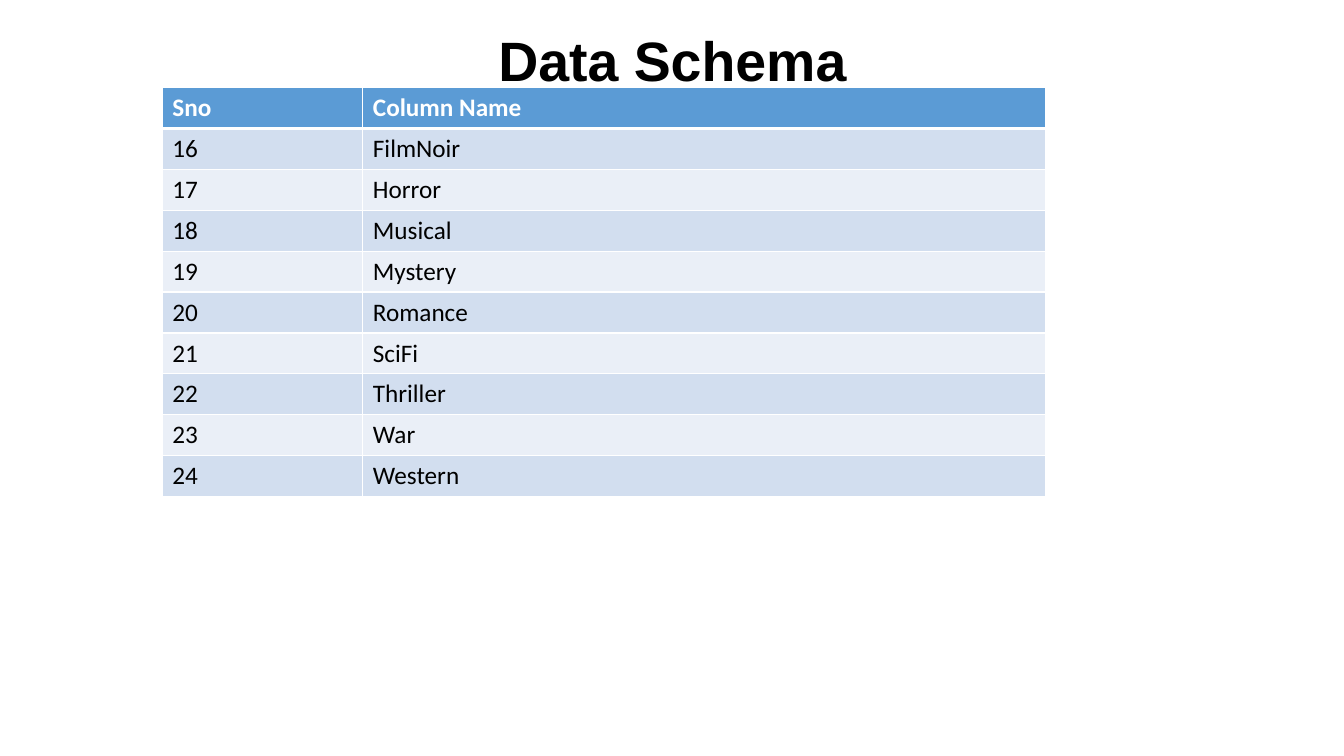
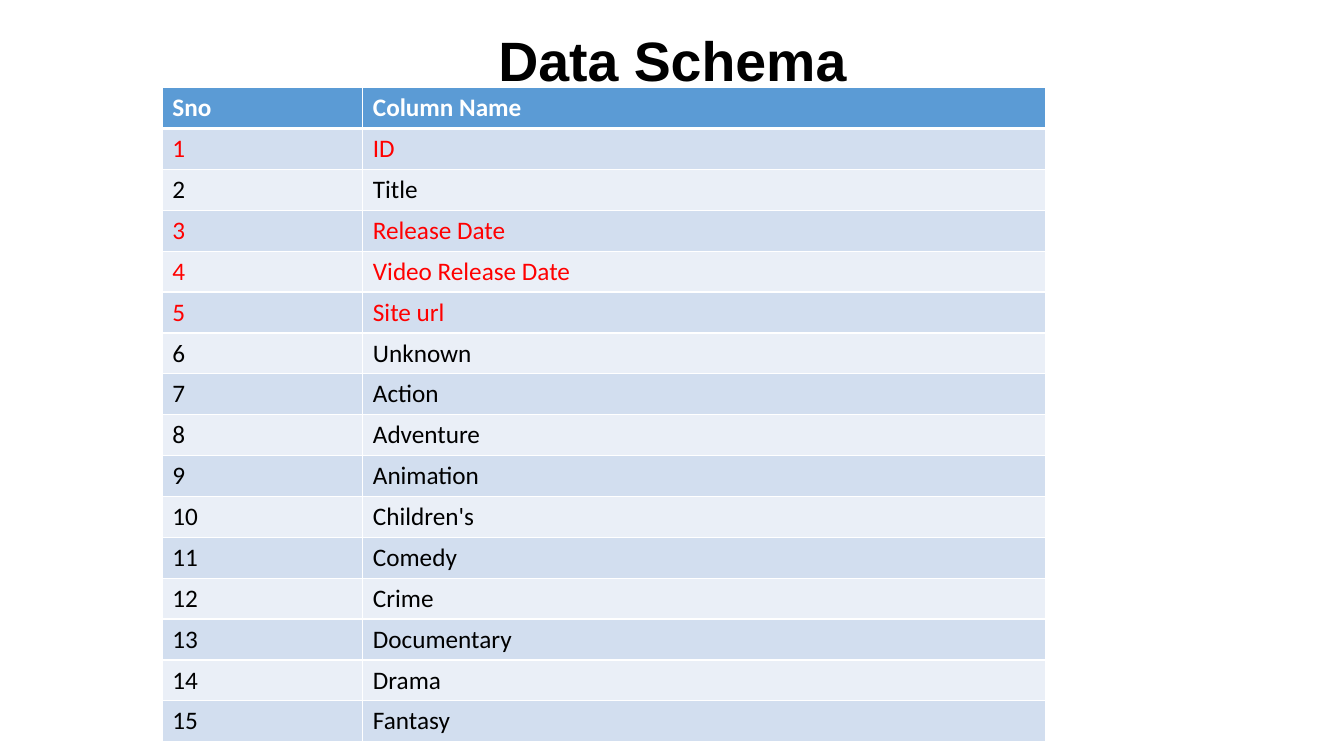
from dataclasses import dataclass

from lxml.etree import SubElement
from pptx import Presentation
from pptx.dml.color import RGBColor
from pptx.enum.text import MSO_ANCHOR, PP_ALIGN
from pptx.oxml.ns import qn
from pptx.util import Inches, Pt


@dataclass(frozen=True)
class Theme:
    black: str = "000000"
    white: str = "FFFFFF"
    red: str = "FF0000"
    header: str = "5B9BD5"
    bands: tuple[str, str] = ("D2DEEF", "EAEFF7")
    title_font: str = "Arial"
    table_font: str = "Calibri"
    title_size: float = 39.6
    table_size: float = 18
    thin: float = 1
    thick: float = 3


@dataclass(frozen=True)
class Field:
    name: str
    marked: bool = False


@dataclass(frozen=True)
class SchemaPage:
    first_number: int
    fields: tuple[Field, ...]


THEME = Theme()
WIDTH, HEIGHT = Inches(13.33), Inches(7.5)

# Shares of the slide, in percent
TITLE_LEFT, TITLE_TOP, TITLE_WIDTH, TITLE_HEIGHT = 6.9, 5.33, 86.27, 6.27
TABLE_LEFT, TABLE_TOP = 12.08, 11.6
COLUMN_WIDTHS = (14.92, 50.78)
ROW_HEIGHT = 5.41

TITLE = "Data Schema"
HEADINGS = ("Sno", "Column Name")
PAGES = (
    SchemaPage(16, (
        Field("FilmNoir"), Field("Horror"), Field("Musical"),
        Field("Mystery"), Field("Romance"), Field("SciFi"),
        Field("Thriller"), Field("War"), Field("Western"),
    )),
    SchemaPage(1, (
        Field("ID", True), Field("Title"), Field("Release Date", True),
        Field("Video Release Date", True), Field("Site url", True),
        Field("Unknown"), Field("Action"), Field("Adventure"),
        Field("Animation"), Field("Children's"), Field("Comedy"),
        Field("Crime"), Field("Documentary"), Field("Drama"),
        Field("Fantasy"),
    )),
)


def across(percent: float) -> int:
    return round(WIDTH * percent / 100)


def down(percent: float) -> int:
    return round(HEIGHT * percent / 100)


def add_span(para, text: str, font: str, size: float, color: str, bold: bool) -> None:
    span = para.add_run()
    span.text = text
    span.font.name = font
    span.font.size = Pt(size)
    span.font.bold = bold
    span.font.color.rgb = RGBColor.from_string(color)


def add_title(page) -> None:
    box = page.shapes.add_textbox(across(TITLE_LEFT), down(TITLE_TOP),
                                  across(TITLE_WIDTH), down(TITLE_HEIGHT))
    frame = box.text_frame
    frame.word_wrap = True
    frame.vertical_anchor = MSO_ANCHOR.MIDDLE
    para = frame.paragraphs[0]
    para.alignment = PP_ALIGN.CENTER
    para.line_spacing = 0.9
    add_span(para, TITLE, THEME.title_font, THEME.title_size, THEME.black, True)


def add_borders(cell, top: float, bottom: float) -> None:
    """Draw white borders; call before the fill, which must follow them in the XML."""
    properties = cell._tc.get_or_add_tcPr()
    widths = {"L": THEME.thin, "R": THEME.thin, "T": top, "B": bottom}
    for side, width in widths.items():
        line = SubElement(properties, qn(f"a:ln{side}"), w=str(Pt(width)))
        fill = SubElement(line, qn("a:solidFill"))
        SubElement(fill, qn("a:srgbClr"), val=THEME.white)


def fill_row(table, row: int, texts: tuple[str, ...], fill: str, color: str) -> None:
    is_header = row == 0
    top = THEME.thick if row == 1 else THEME.thin
    bottom = THEME.thick if is_header else THEME.thin
    for column, text in enumerate(texts):
        cell = table.cell(row, column)
        add_borders(cell, top, bottom)
        cell.fill.solid()
        cell.fill.fore_color.rgb = RGBColor.from_string(fill)
        add_span(cell.text_frame.paragraphs[0], text, THEME.table_font,
                 THEME.table_size, color, is_header)


def add_schema_table(page, schema: SchemaPage) -> None:
    row_count = len(schema.fields) + 1
    table = page.shapes.add_table(
        row_count, len(HEADINGS), across(TABLE_LEFT), down(TABLE_TOP),
        across(sum(COLUMN_WIDTHS)), down(ROW_HEIGHT * row_count)).table
    for column, width in zip(table.columns, COLUMN_WIDTHS):
        column.width = across(width)
    for row in table.rows:
        row.height = down(ROW_HEIGHT)

    fill_row(table, 0, HEADINGS, THEME.header, THEME.white)
    for index, field in enumerate(schema.fields):
        fill_row(table, index + 1, (str(schema.first_number + index), field.name),
                 THEME.bands[index % 2], THEME.red if field.marked else THEME.black)


def main() -> None:
    deck = Presentation()
    deck.slide_width, deck.slide_height = WIDTH, HEIGHT
    blank = deck.slide_layouts[6]
    for schema in PAGES:
        page = deck.slides.add_slide(blank)
        add_title(page)
        add_schema_table(page, schema)
    deck.save("out.pptx")


if __name__ == "__main__":
    main()
